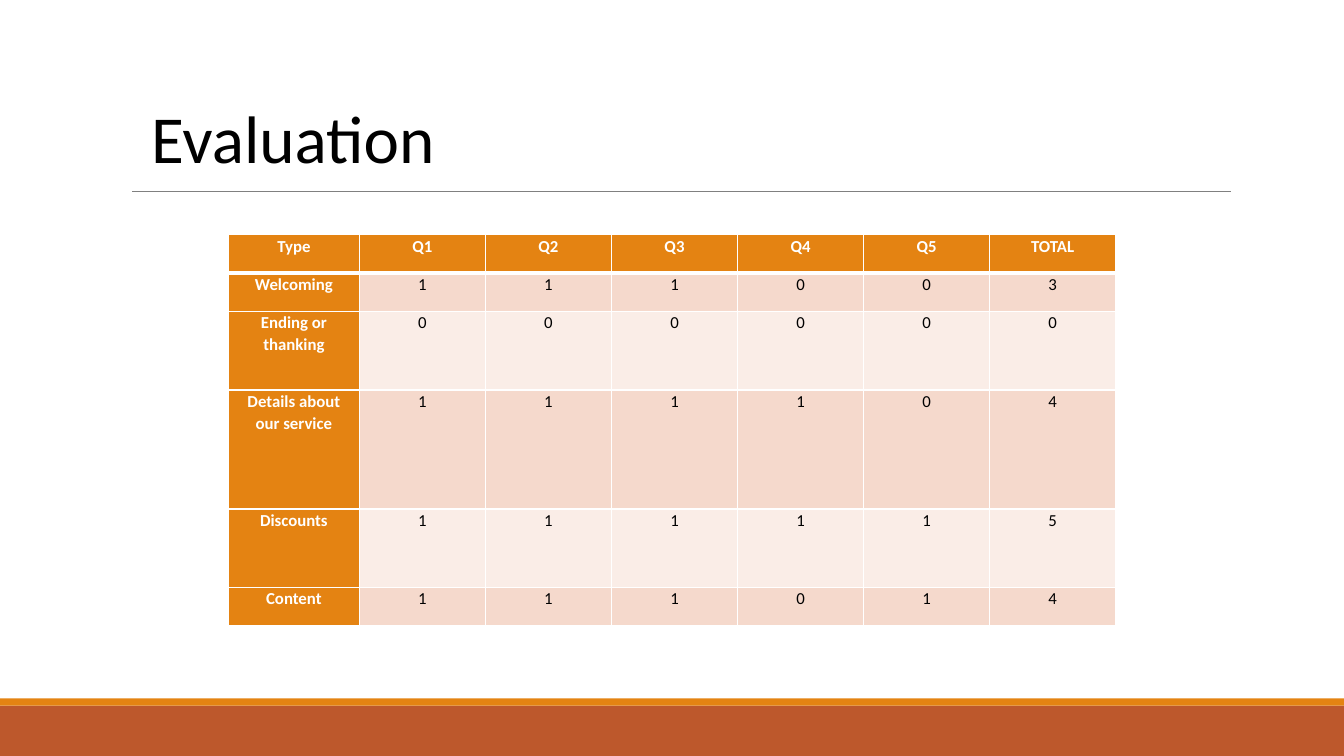
from lxml import etree
from pptx import Presentation
from pptx import util as u
from pptx.dml.color import RGBColor
from pptx.enum import shapes, text
from pptx.oxml.ns import qn

WIDTH, HEIGHT = 13.33, 7.5
FONT = "Calibri"
COLORS = {
    "orange": "E48312",
    "rust": "BD582C",
    "rule": "808080",
    "band_dark": "F5D9CC",
    "band_light": "FAEDE7",
    "white": "FFFFFF",
    "black": "000000",
}
SCORES = [
    ["Type", "Q1", "Q2", "Q3", "Q4", "Q5", "TOTAL"],
    ["Welcoming", 1, 1, 1, 0, 0, 3],
    ["Ending or thanking", 0, 0, 0, 0, 0, 0],
    ["Details about our service", 1, 1, 1, 1, 0, 4],
    ["Discounts", 1, 1, 1, 1, 1, 5],
    ["Content", 1, 1, 1, 0, 1, 4],
]
COLUMN_WIDTHS = [1.3] + [1.25] * 6
ROW_HEIGHTS = [0.38, 0.38, 0.78, 1.18, 0.78, 0.38]


def color(name):
    return RGBColor.from_string(COLORS[name])


def style_run(run, size, color_name, bold=False):
    run.font.name = FONT
    run.font.size = u.Pt(size)
    run.font.bold = bold
    run.font.color.rgb = color(color_name)


def add_footer(slide, left, top, width, height):
    """Thin orange strip above a rust band."""
    strip = 0.07
    bands = [("rust", top + strip, height - strip), ("orange", top, strip)]
    for fill, band_top, band_height in bands:
        band = slide.shapes.add_shape(
            shapes.MSO_SHAPE.RECTANGLE, u.Inches(left), u.Inches(band_top),
            u.Inches(width), u.Inches(band_height))
        band.shadow.inherit = False
        band.fill.solid()
        band.fill.fore_color.rgb = color(fill)
        band.line.fill.background()


def add_heading(slide, left, top, width, height):
    """Title with a rule that reaches past it on both sides."""
    heading = slide.shapes.title
    heading.left, heading.top = u.Inches(left), u.Inches(top)
    heading.width, heading.height = u.Inches(width), u.Inches(height)
    frame = heading.text_frame
    frame.text = "Evaluation"
    frame.auto_size = text.MSO_AUTO_SIZE.NONE
    frame.vertical_anchor = text.MSO_ANCHOR.MIDDLE
    frame.margin_left = frame.margin_right = u.Inches(0.05)
    paragraph = frame.paragraphs[0]
    paragraph.alignment = text.PP_ALIGN.LEFT
    paragraph.line_spacing = u.Pt(27)
    style_run(paragraph.runs[0], 48, "black")

    rule_y = u.Inches(top + height + 0.05)
    rule = slide.shapes.add_connector(
        shapes.MSO_CONNECTOR.STRAIGHT, u.Inches(left - 0.14), rule_y,
        u.Inches(left + width + 0.33), rule_y)
    rule.line.color.rgb = color("rule")
    rule.line.width = u.Pt(0.5)
    etree.SubElement(rule._element.spPr, qn("a:effectLst"))


def add_borders(cell, bottom_width):
    properties = cell._tc.get_or_add_tcPr()
    sides = [("L", 1), ("R", 1), ("T", 1), ("B", bottom_width)]
    # Borders must come before the cell's fill
    for position, (side, points) in enumerate(sides):
        border = etree.Element(qn(f"a:ln{side}"), w=str(u.Pt(points)))
        fill = etree.SubElement(border, qn("a:solidFill"))
        etree.SubElement(fill, qn("a:srgbClr"), val=COLORS["white"])
        properties.insert(position, border)


def fill_cell(cell, value, row, column):
    is_header = row == 0 or column == 0
    band = "band_dark" if row % 2 else "band_light"
    cell.fill.solid()
    cell.fill.fore_color.rgb = color("orange" if is_header else band)
    cell.margin_left = cell.margin_right = u.Inches(0.07)
    cell.margin_top = cell.margin_bottom = 0
    cell.text_frame.text = str(value)
    paragraph = cell.text_frame.paragraphs[0]
    paragraph.alignment = text.PP_ALIGN.CENTER
    paragraph.line_spacing = 1.07
    style_run(paragraph.runs[0], 12, "white" if is_header else "black", is_header)
    add_borders(cell, bottom_width=3 if row == 0 else 1)


def add_scores(slide, left, top):
    """Scores by message type and question."""
    scores = slide.shapes.add_table(
        len(SCORES), len(SCORES[0]), u.Inches(left), u.Inches(top),
        u.Inches(sum(COLUMN_WIDTHS)), u.Inches(sum(ROW_HEIGHTS))).table
    scores.first_col = True
    for column, width in zip(scores.columns, COLUMN_WIDTHS):
        column.width = u.Inches(width)
    for row, height in zip(scores.rows, ROW_HEIGHTS):
        row.height = u.Inches(height)
    for r, values in enumerate(SCORES):
        for c, value in enumerate(values):
            fill_cell(scores.cell(r, c), value, r, c)
            if r == 1:  # shares its top edge with the header row
                scores.cell(r, c)._tc.tcPr.find(qn("a:lnT")).set("w", str(u.Pt(3)))


def main():
    deck = Presentation()
    deck.slide_width, deck.slide_height = u.Inches(WIDTH), u.Inches(HEIGHT)
    slide = deck.slides.add_slide(deck.slide_layouts.get_by_name("Title Only"))
    add_footer(slide, 0, HEIGHT - 0.57, WIDTH, 0.57)
    add_heading(slide, 1.45, 1.29, 10.43, 0.56)
    add_scores(slide, (WIDTH - sum(COLUMN_WIDTHS)) / 2, 2.33)
    deck.save("out.pptx")


if __name__ == "__main__":
    main()
